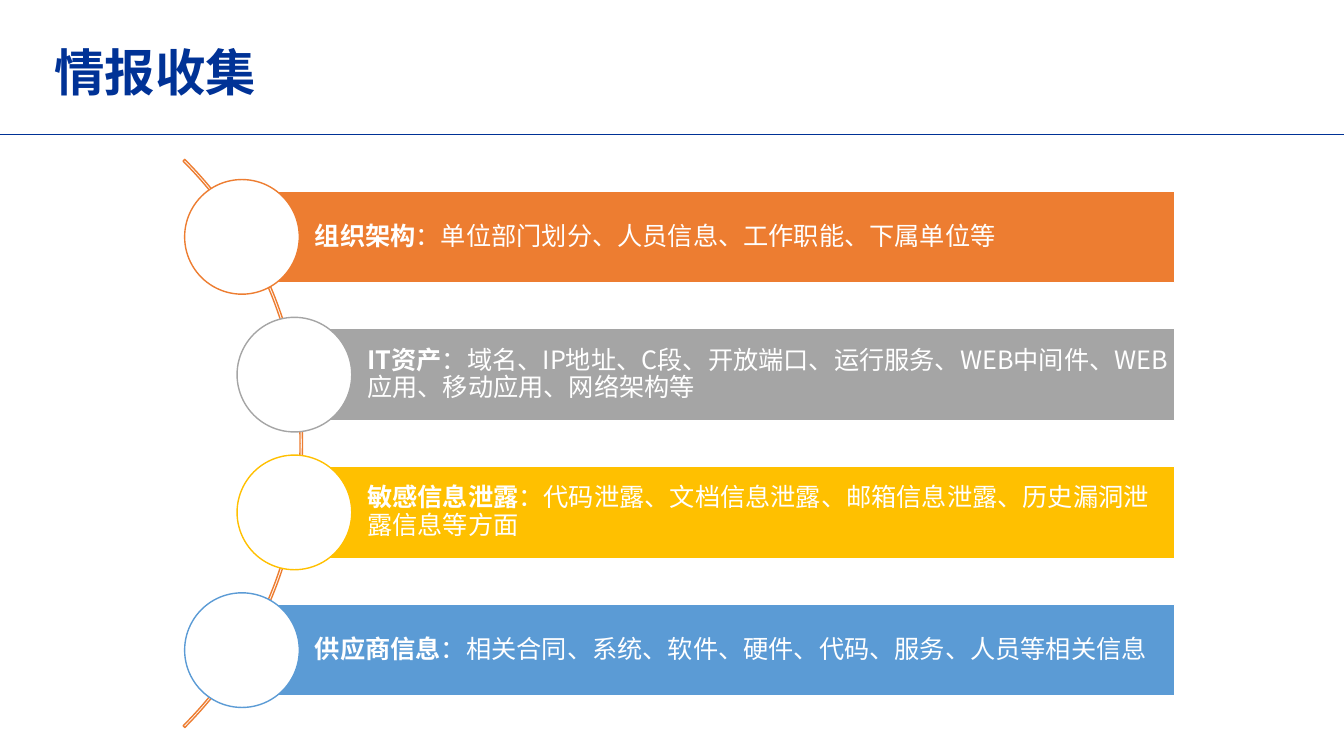
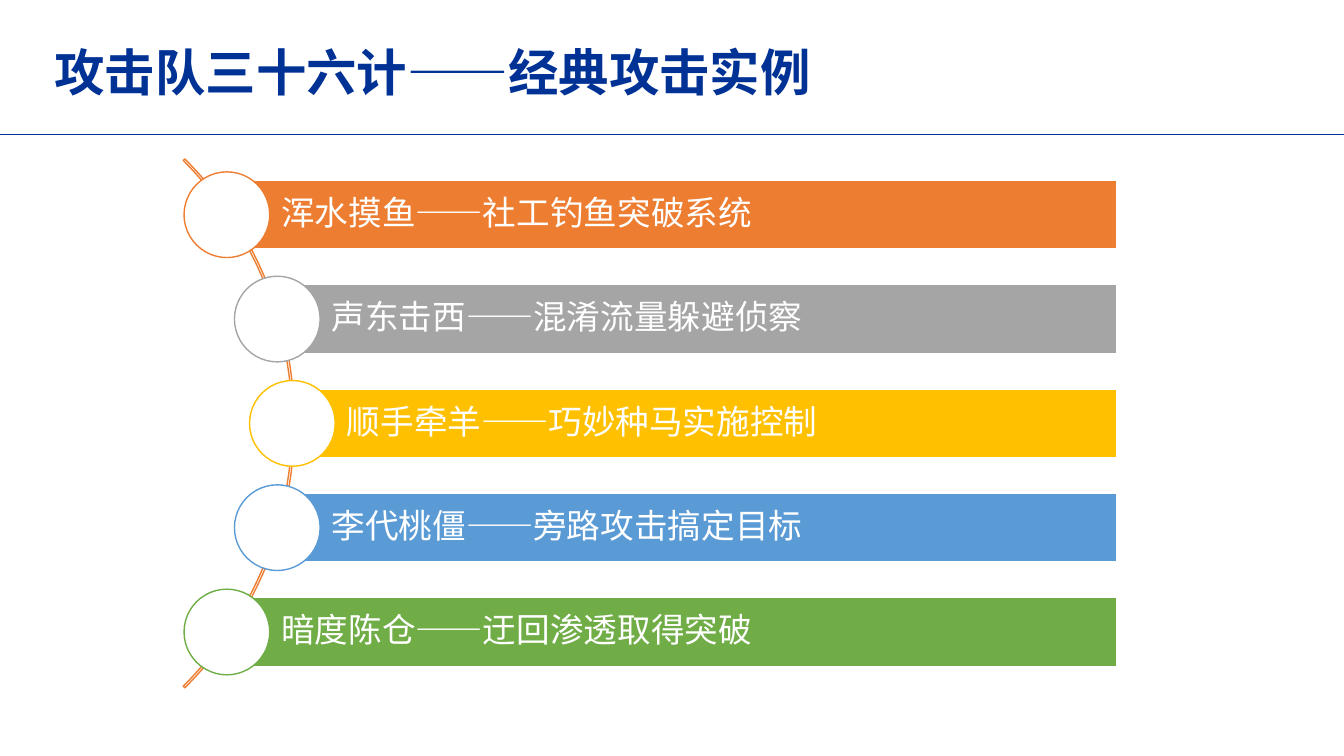
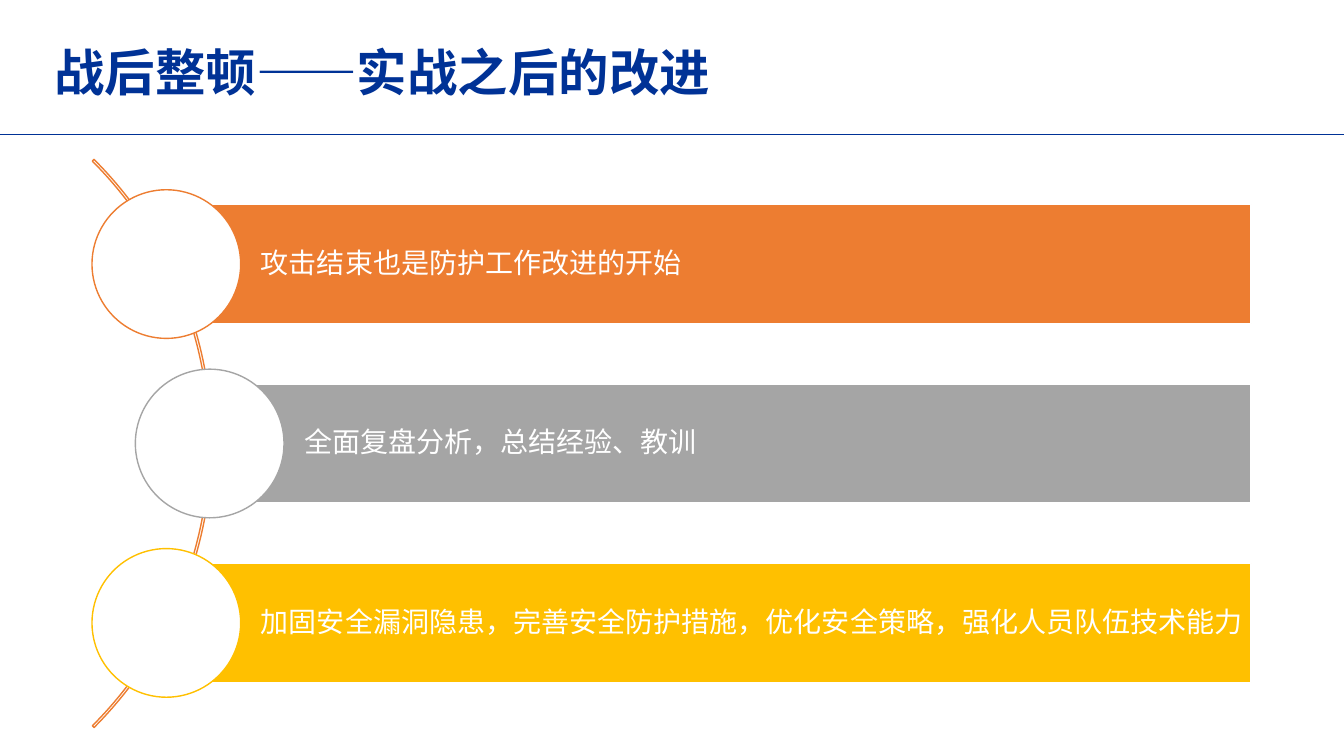
from dataclasses import dataclass

from lxml import etree
from pptx import Presentation
from pptx import util as u
from pptx.dml import color
from pptx.enum import shapes, text
from pptx.oxml import ns


@dataclass(frozen=True)
class Theme:
    font: str = "Noto Sans CJK SC"
    navy: str = "003296"
    white: str = "FFFFFF"
    accents: tuple[str, ...] = ("ED7D31", "A5A5A5", "FFC000", "5B9BD5", "70AD47")
    title_size: int = 36
    rule_width: float = 0.5
    outline_width: float = 1
    line_spacing: float = 0.9


@dataclass(frozen=True)
class Item:
    detail: str
    lead: str = ""


@dataclass(frozen=True)
class CurvedList:
    title: str
    items: tuple[Item, ...]
    bar_lefts: tuple[float, ...]
    bar_right: float
    bar_height: float
    middle: float
    span: float
    arc_left: float
    arc_size: float
    text_size: int


THEME = Theme()
SLIDE_WIDTH, SLIDE_HEIGHT = 13.33, 7.5
RULE_TOP = 1.33
CIRCLE_RATIO = 1.25
TEXT_INDENT_RATIO = 0.795
PADDING_PER_POINT = 1 / 360

LISTS = (
    CurvedList(
        title="情报收集",
        items=(
            Item("：单位部门划分、人员信息、工作职能、下属单位等", "组织架构"),
            Item("：域名、IP地址、C段、开放端口、运行服务、WEB中间件、WEB应用、移动应用、网络架构等", "IT资产"),
            Item("：代码泄露、文档信息泄露、邮箱信息泄露、历史漏洞泄露信息等方面", "敏感信息泄露"),
            Item("：相关合同、系统、软件、硬件、代码、服务、人员等相关信息", "供应商信息"),
        ),
        bar_lefts=(2.4, 2.92, 2.92, 2.4),
        bar_right=11.65, bar_height=0.91, middle=4.4, span=4.1,
        arc_left=-4.97, arc_size=7.97, text_size=18,
    ),
    CurvedList(
        title="攻击队三十六计——经典攻击实例",
        items=(
            Item("浑水摸鱼——社工钓鱼突破系统"),
            Item("声东击西——混淆流量躲避侦察"),
            Item("顺手牵羊——巧妙种马实施控制"),
            Item("李代桃僵——旁路攻击搞定目标"),
            Item("暗度陈仓——迂回渗透取得突破"),
        ),
        bar_lefts=(2.25, 2.75, 2.9, 2.75, 2.25),
        bar_right=11.08, bar_height=0.68, middle=4.2, span=4.14,
        arc_left=-4.5, arc_size=7.42, text_size=24,
    ),
    CurvedList(
        title="战后整顿——实战之后的改进",
        items=(
            Item("攻击结束也是防护工作改进的开始"),
            Item("全面复盘分析，总结经验、教训"),
            Item("加固安全漏洞隐患，完善安全防护措施，优化安全策略，强化人员队伍技术能力"),
        ),
        bar_lefts=(1.65, 2.08, 1.65),
        bar_right=12.41, bar_height=1.18, middle=4.4, span=3.56,
        arc_left=-5.87, arc_size=7.97, text_size=20,
    ),
)


def rgb(code: str) -> color.RGBColor:
    return color.RGBColor.from_string(code)


def style_text(holder, size: float, code: str, bold: bool | None = None) -> None:
    for paragraph in holder.text_frame.paragraphs:
        paragraph.alignment = text.PP_ALIGN.LEFT
        paragraph.line_spacing = THEME.line_spacing
        font = paragraph.font
        font.name, font.size, font.bold = THEME.font, u.Pt(size), bold
        font.color.rgb = rgb(code)
    for properties in holder.element.iter(ns.qn("a:defRPr")):
        etree.SubElement(properties, ns.qn("a:ea"), typeface=THEME.font)


def add_outlined(slide, kind, left: float, top: float, width: float,
                 height: float, line: str, fill: str | None = None):
    figure = slide.shapes.add_shape(
        kind, u.Inches(left), u.Inches(top), u.Inches(width), u.Inches(height))
    figure.shadow.inherit = False
    if fill:
        figure.fill.solid()
        figure.fill.fore_color.rgb = rgb(fill)
    else:
        figure.fill.background()
    figure.line.color.rgb = rgb(line)
    figure.line.width = u.Pt(THEME.outline_width)
    return figure


def add_header(slide, heading: str) -> None:
    rule = slide.shapes.add_connector(
        shapes.MSO_CONNECTOR.STRAIGHT, u.Inches(0), u.Inches(RULE_TOP),
        u.Inches(SLIDE_WIDTH), u.Inches(RULE_TOP))
    rule.line.color.rgb = rgb(THEME.navy)
    rule.line.width = u.Pt(THEME.rule_width)
    etree.SubElement(rule.element.spPr, ns.qn("a:effectLst"))

    title = slide.shapes.title
    title.left, title.top = u.Inches(0.44), u.Inches(0.43)
    title.width, title.height = u.Inches(11.5), u.Inches(0.64)
    title.text_frame.text = heading
    title.text_frame.auto_size = text.MSO_AUTO_SIZE.NONE
    title.text_frame.vertical_anchor = text.MSO_ANCHOR.MIDDLE
    style_text(title, THEME.title_size, THEME.navy, bold=True)


def add_item(slide, curve: CurvedList, item: Item, left: float,
             center: float, accent: str) -> None:
    height = curve.bar_height
    bar = add_outlined(slide, shapes.MSO_SHAPE.RECTANGLE, left, center - height / 2,
                       curve.bar_right - left, height, THEME.white, accent)
    frame = bar.text_frame
    frame.word_wrap = True
    frame.vertical_anchor = text.MSO_ANCHOR.MIDDLE
    frame.margin_left = u.Inches(height * TEXT_INDENT_RATIO)
    padding = u.Inches(curve.text_size * PADDING_PER_POINT)
    frame.margin_top = frame.margin_right = frame.margin_bottom = padding
    paragraph = frame.paragraphs[0]
    if item.lead:
        lead = paragraph.add_run()
        lead.text = item.lead
        lead.font.bold = True
    paragraph.add_run().text = item.detail
    style_text(bar, curve.text_size, THEME.white)

    diameter = height * CIRCLE_RATIO
    add_outlined(slide, shapes.MSO_SHAPE.OVAL, left - diameter / 2,
                 center - diameter / 2, diameter, diameter, accent, THEME.white)


def add_curved_list(slide, curve: CurvedList) -> None:
    arc = add_outlined(slide, shapes.MSO_SHAPE.BLOCK_ARC, curve.arc_left,
                       curve.middle - curve.arc_size / 2, curve.arc_size,
                       curve.arc_size, THEME.accents[0])
    for index, value in enumerate((189, 27, 0.003)):
        arc.adjustments[index] = value

    pitch = curve.span / (len(curve.items) - 1)
    first = curve.middle - curve.span / 2
    rows = zip(curve.items, curve.bar_lefts, THEME.accents)
    for index, (item, left, accent) in enumerate(rows):
        add_item(slide, curve, item, left, first + index * pitch, accent)


def main() -> None:
    deck = Presentation()
    deck.slide_width, deck.slide_height = u.Inches(SLIDE_WIDTH), u.Inches(SLIDE_HEIGHT)
    title_only = deck.slide_layouts.get_by_name("Title Only")
    for curve in LISTS:
        slide = deck.slides.add_slide(title_only)
        add_header(slide, curve.title)
        add_curved_list(slide, curve)
    deck.save("out.pptx")


if __name__ == "__main__":
    main()
